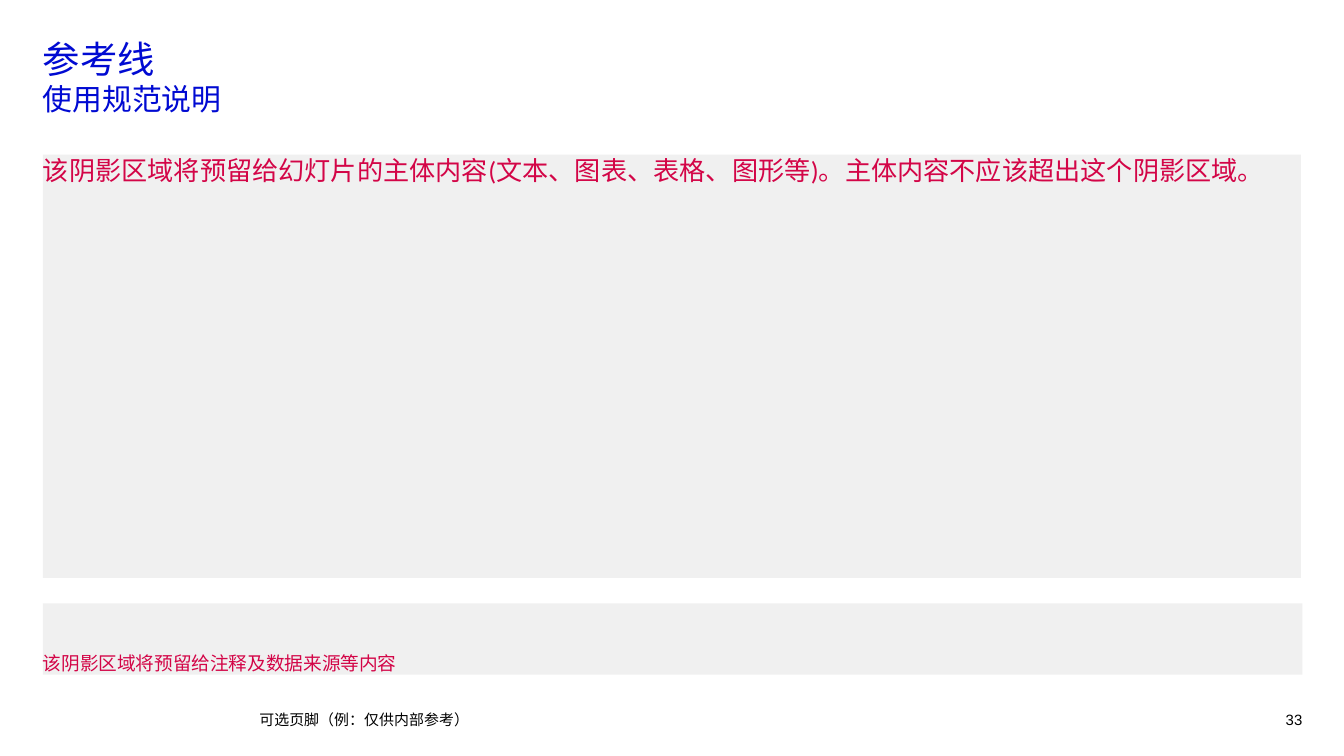
"""Build the content-area guideline slide."""

from dataclasses import dataclass
from typing import Optional

from pptx import Presentation
from pptx.dml.color import RGBColor
from pptx.enum.shapes import MSO_SHAPE as Preset
from pptx.enum.text import MSO_ANCHOR as Anchor, PP_ALIGN as Align
from pptx.slide import Slide
from pptx.util import Pt

COLORS = {"title": "000AD2", "guide": "D30547", "footer": "000000", "area": "F0F0F0"}
LEFT = 23.04
WIDTH = 674.64
FOOTER_TOP = 380.16
FOOTER_HEIGHT = 10.8


@dataclass(frozen=True)
class Line:
    text: str
    size: float


@dataclass(frozen=True)
class Block:
    left: float
    top: float
    width: float
    height: float
    lines: tuple[Line, ...]
    color: str
    font: str = "Arial"
    fill: Optional[str] = None
    anchor: Anchor = Anchor.TOP
    align: Align = Align.LEFT
    spacing: float = 1.0


BLOCKS = (
    Block(LEFT, 323.28, WIDTH, 38.16,
          (Line("该阴影区域将预留给注释及数据来源等内容", 10),),
          "guide", fill="area", anchor=Anchor.BOTTOM, spacing=1.1),
    Block(LEFT, 82.8, 673.92, 226.8,
          (Line("该阴影区域将预留给幻灯片的主体内容(文本、图表、表格、图形等)。"
                "主体内容不应该超出这个阴影区域。", 14),),
          "guide", font="Calibri", fill="area"),
    Block(138.96, FOOTER_TOP, 465.12, FOOTER_HEIGHT,
          (Line("可选页脚（例：仅供内部参考）", 8),), "footer", anchor=Anchor.MIDDLE),
    Block(669.6, FOOTER_TOP, 28.08, FOOTER_HEIGHT,
          (Line("33", 8),), "footer", anchor=Anchor.MIDDLE, align=Align.RIGHT),
    Block(LEFT, 19.44, WIDTH, 51.84,
          (Line("参考线", 20), Line("使用规范说明", 16)), "title"),
)


def set_attributes(target: object, values: dict) -> None:
    """Set each named value on the target."""
    for name, value in values.items():
        setattr(target, name, value)


def draw_block(slide: Slide, block: Block) -> None:
    """Draw a text block, shaded when it has a fill."""
    bounds = [Pt(value) for value in (block.left, block.top, block.width, block.height)]
    if block.fill:
        shape = slide.shapes.add_shape(Preset.RECTANGLE, *bounds)
        shape.shadow.inherit = False
        shape.fill.solid()
        shape.fill.fore_color.rgb = RGBColor.from_string(COLORS[block.fill])
        shape.line.fill.background()
    else:
        shape = slide.shapes.add_textbox(*bounds)
    frame = shape.text_frame
    set_attributes(frame, {
        "word_wrap": True, "vertical_anchor": block.anchor,
        "margin_left": 0, "margin_top": 0, "margin_right": 0, "margin_bottom": 0,
    })
    paragraph = frame.paragraphs[0]
    set_attributes(paragraph, {"alignment": block.align, "line_spacing": block.spacing})
    for index, line in enumerate(block.lines):
        if index:
            paragraph.add_line_break()
        run = paragraph.add_run()
        run.text = line.text
        set_attributes(run.font, {"name": block.font, "size": Pt(line.size)})
        run.font.color.rgb = RGBColor.from_string(COLORS[block.color])


def main() -> None:
    """Create and save the presentation."""
    presentation = Presentation()
    set_attributes(presentation, {"slide_width": Pt(720), "slide_height": Pt(405)})
    slide = presentation.slides.add_slide(presentation.slide_layouts[6])
    for block in BLOCKS:
        draw_block(slide, block)
    presentation.save("out.pptx")


if __name__ == "__main__":
    main()
